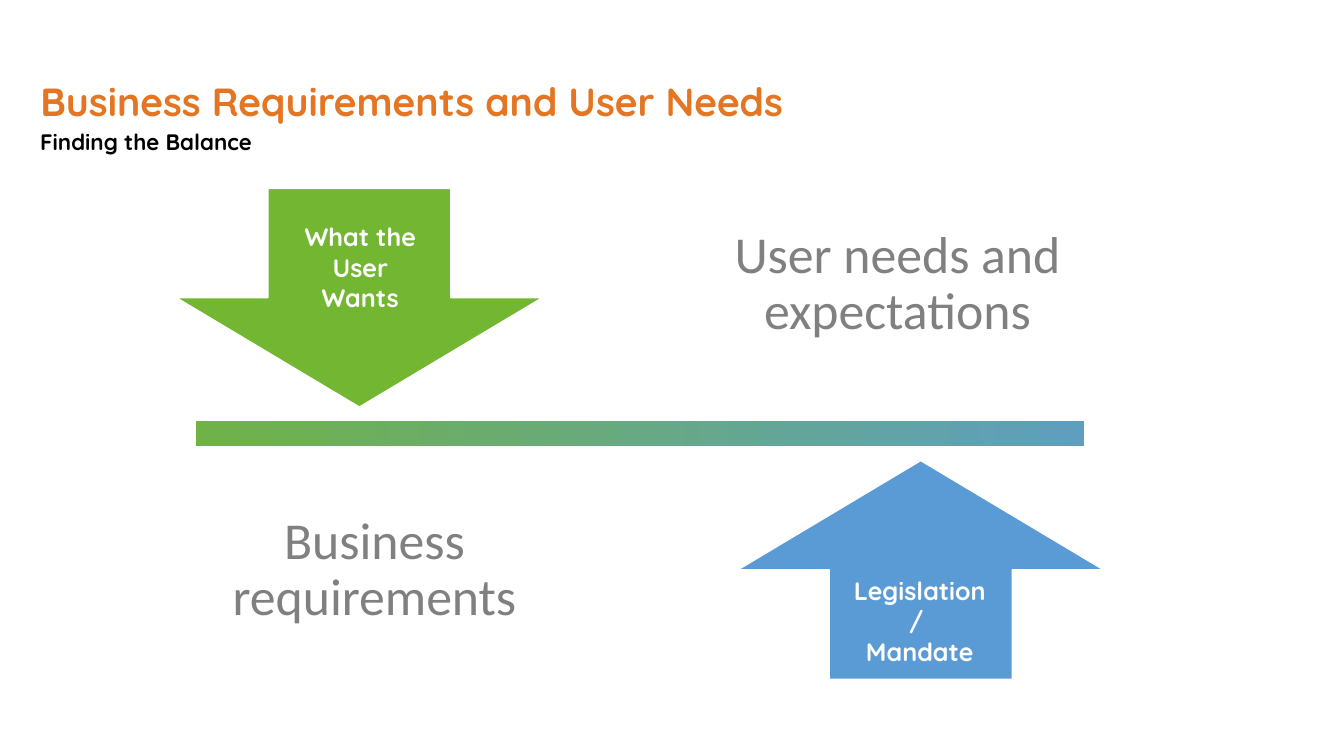
from pptx import Presentation
from pptx.dml.color import RGBColor
from pptx.enum.shapes import MSO_SHAPE as SHAPE
from pptx.enum.text import MSO_ANCHOR as ANCHOR, MSO_AUTO_SIZE as AUTO, PP_ALIGN as ALIGN
from pptx.util import Pt

# Content
TITLE = "Business Requirements and User Needs"
SUBTITLE = "Finding the Balance"
GREEN, BLUE, ORANGE = "73B632", "5B9BD5", "E47623"
WHITE, BLACK, GRAY = "FFFFFF", "000000", "808080"

# Boxes are (left, top, width, height) in points
TITLE_BOX = (21.6, 20.9, 729.4, 71.3)
SUBTITLE_BOX = (21.6, 90, 885, 24.5)
BAR_BOX = (25.2, 269.3, 864, 80.6)
ARROW_SIZE = (261.4, 156.2)
CAPTION_SIZE = (278.6, 163.4)
ARROWS = [
    (SHAPE.DOWN_ARROW, GREEN, (126, 134.6)),
    (SHAPE.UP_ARROW, BLUE, (527, 329)),
]
CAPTIONS = [
    ("User needs and expectations", (501.8, 121.7)),
    ("Business requirements", (128.2, 326.2)),
]
ARROW_LABELS = [
    (["What the User Wants"], (210.2, 154.8, 94.3, 72.7)),
    (["Legislation / ", "Mandate"], (595.4, 407.5, 123.1, 51.1)),
]


def rgb(value):
    return RGBColor.from_string(value)


def pts(box):
    return [Pt(v) for v in box]


def write(sp, lines, size, color, font="Quicksand", bold=True, align=ALIGN.LEFT,
          anchor=ANCHOR.TOP, inset=(7.2, 3.6), spacing=None, fit=AUTO.NONE):
    tf = sp.text_frame
    tf.word_wrap = True
    tf.auto_size = fit
    tf.vertical_anchor = anchor
    tf.margin_left = tf.margin_right = Pt(inset[0])
    tf.margin_top = tf.margin_bottom = Pt(inset[1])
    for i, line in enumerate(lines):
        p = tf.paragraphs[0] if i == 0 else tf.add_paragraph()
        p.alignment = align
        if spacing:
            p.line_spacing = spacing
        r = p.add_run()
        r.text = line
        r.font.name, r.font.size, r.font.bold = font, Pt(size), bold
        r.font.color.rgb = rgb(color)


def add_figure(shapes, kind, box, colors):
    sp = shapes.add_shape(kind, *pts(box))
    sp.shadow.inherit = False
    if len(colors) == 1:
        sp.fill.solid()
        sp.fill.fore_color.rgb = rgb(colors[0])
    else:
        sp.fill.gradient()
        sp.fill.gradient_angle = 0
        for stop, color in zip(sp.fill.gradient_stops, colors):
            stop.color.rgb = rgb(color)
    sp.line.color.rgb = rgb(WHITE)
    sp.line.width = Pt(1)


prs = Presentation()
prs.slide_width, prs.slide_height = Pt(960), Pt(540)
s = prs.slides.add_slide(prs.slide_layouts[5])

# Title and subtitle
title = s.shapes.title
title.left, title.top, title.width, title.height = pts(TITLE_BOX)
write(title, [TITLE], 28, ORANGE, anchor=ANCHOR.BOTTOM)
write(s.shapes.add_textbox(*pts(SUBTITLE_BOX)), [SUBTITLE], 16, BLACK, anchor=ANCHOR.BOTTOM)

# Balance diagram: bar, opposing arrows and their captions
balance = s.shapes.add_group_shape().shapes
add_figure(balance, SHAPE.MATH_MINUS, BAR_BOX, [GREEN, BLUE])
for (kind, color, arrow_at), (caption, caption_at) in zip(ARROWS, CAPTIONS):
    add_figure(balance, kind, arrow_at + ARROW_SIZE, [color])
    write(balance.add_textbox(*pts(caption_at + CAPTION_SIZE)), [caption], 37, GRAY,
          font="Calibri", bold=False, align=ALIGN.CENTER, anchor=ANCHOR.MIDDLE,
          inset=(20.9, 20.9), spacing=0.9)

# Labels on the arrows
for lines, box in ARROW_LABELS:
    write(s.shapes.add_textbox(*pts(box)), lines, 18, WHITE, align=ALIGN.CENTER,
          fit=AUTO.SHAPE_TO_FIT_TEXT)

prs.save("out.pptx")
